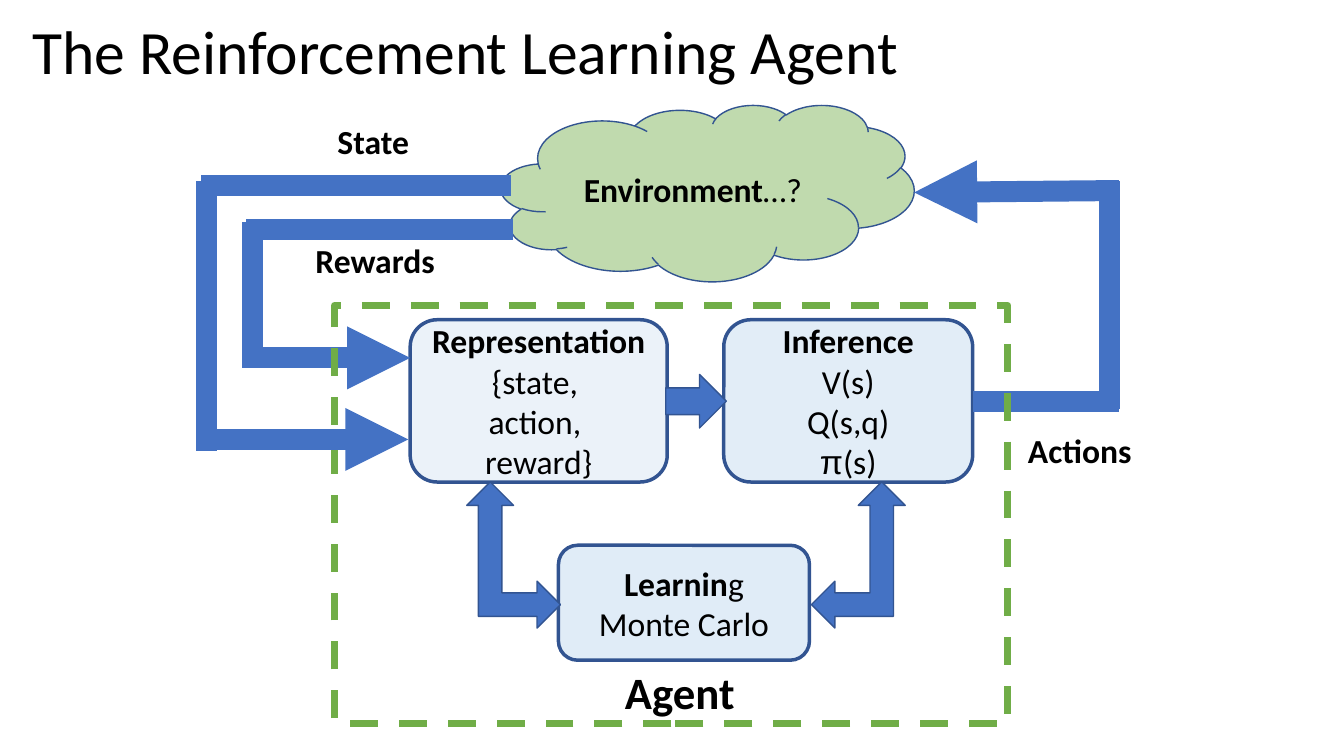
from dataclasses import dataclass
from typing import Optional

from lxml.etree import SubElement
from pptx import Presentation
from pptx.dml.color import RGBColor
from pptx.enum.dml import MSO_LINE_DASH_STYLE as DASH
from pptx.enum.shapes import MSO_CONNECTOR as CONN, MSO_SHAPE as SHAPE
from pptx.enum.text import MSO_ANCHOR as ANCHOR, PP_ALIGN as ALIGN
from pptx.oxml.ns import qn
from pptx.util import Pt

BLACK = RGBColor(0x00, 0x00, 0x00)
BLUE = RGBColor(0x44, 0x72, 0xC4)
NAVY = RGBColor(0x32, 0x54, 0x91)
SKY = RGBColor(0x9D, 0xC3, 0xE6)
PALE = RGBColor(0xBD, 0xD7, 0xEE)
GREEN = RGBColor(0x70, 0xAD, 0x47)

Run = tuple[str, bool]
Point = tuple[float, float]


@dataclass
class Block:
    kind: SHAPE
    left: float
    top: float
    width: float
    height: float
    fill: Optional[RGBColor] = BLUE
    opacity: int = 100
    line: RGBColor = NAVY
    weight: float = 1
    dash: Optional[DASH] = None
    rotation: int = 0
    flip: bool = False
    lines: tuple[tuple[Run, ...], ...] = ()


@dataclass
class Label:
    text: str
    left: float
    top: float
    width: float
    height: float = 36
    size: int = 24
    align: ALIGN = ALIGN.LEFT


@dataclass
class Line:
    start: Point
    end: Point
    arrow: bool = False


BOXES = [
    Block(SHAPE.ROUNDED_RECTANGLE, 293, 228.4, 183.6, 115.9, PALE, 30, weight=2.5,
          lines=((("Representation", True),), (("{state, ", False),),
                 (("action, ", False),), (("reward}", False),))),
    Block(SHAPE.ROUNDED_RECTANGLE, 398.9, 389.5, 179.3, 82.1, SKY, 31, weight=2.5,
          lines=((("Learnin", True), ("g", False)), (("Monte Carlo", False),))),
    Block(SHAPE.ROUNDED_RECTANGLE, 517, 228.4, 177.8, 115.9, SKY, 29, weight=2.5,
          lines=((("Inference", True),), (("V(s)", False),),
                 (("Q(s,q)", False),), (("π", False), ("(s)", False)))),
]
ARROWS = [
    Block(SHAPE.LEFT_UP_ARROW, 579.6, 344.2, 67, 104.4),
    Block(SHAPE.DOWN_ARROW, 478.1, 265, 38.2, 43.2, rotation=270),
    Block(SHAPE.LEFT_UP_ARROW, 333.4, 344.2, 67, 104.4, flip=True),
]
CLOUD = Block(SHAPE.CLOUD, 357.8, 74.9, 295.2, 126, GREEN, 44,
              lines=((("Environment", True), ("…?", False)),))
FRAME = Block(SHAPE.RECTANGLE, 239, 218.2, 481, 298.8, None, line=GREEN,
              weight=5, dash=DASH.DASH)
ACTION_ROUTE = [
    Line((792.7, 292.3), (792.7, 129.6)),
    Line((799.2, 286.6), (694.8, 286.6)),
    Line((799.2, 136.1), (653, 137.5), arrow=True),
]
REWARD_ROUTE = [
    Line((366.5, 164.2), (175.7, 164.2)),
    Line((175.7, 255.6), (293, 255.6), arrow=True),
    Line((180.7, 262.8), (180.7, 158.4)),
]
STATE_ROUTE = [
    Line((143.3, 313.9), (291.6, 313.9), arrow=True),
    Line((365, 132.5), (143.3, 132.5)),
    Line((147.6, 321.8), (147.6, 129.6)),
]
LABELS = [
    Label("Actions", 727.2, 303.8, 111.6),
    Label("Rewards", 218.2, 167.8, 146.9),
    Label("Agent", 429.8, 470.9, 111.6, 46, 32, ALIGN.CENTER),
    Label("State", 234, 82.8, 146.9),
]


def add_run(p, text: str, *, size: int = 24, bold: bool = False,
            font: str = "Calibri") -> None:
    r = p.add_run()
    r.text = text
    r.font.name = font
    r.font.size = Pt(size)
    r.font.bold = bold
    r.font.color.rgb = BLACK


def draw_block(slide, block: Block) -> None:
    sp = slide.shapes.add_shape(block.kind, Pt(block.left), Pt(block.top),
                                Pt(block.width), Pt(block.height))
    sp.shadow.inherit = False
    sp.rotation = block.rotation
    if block.flip:
        sp._element.spPr.get_or_add_xfrm().set("flipH", "1")
    if block.fill is None:
        sp.fill.background()
    else:
        sp.fill.solid()
        sp.fill.fore_color.rgb = block.fill
        if block.opacity < 100:
            color = sp._element.spPr.find(qn("a:solidFill"))[0]
            SubElement(color, qn("a:alpha")).set("val", str(block.opacity * 1000))
    sp.line.color.rgb = block.line
    sp.line.width = Pt(block.weight)
    if block.dash is not None:
        sp.line.dash_style = block.dash
    tf = sp.text_frame
    tf.vertical_anchor = ANCHOR.MIDDLE
    for i, runs in enumerate(block.lines):
        p = tf.add_paragraph() if i else tf.paragraphs[0]
        p.alignment = ALIGN.CENTER
        for text, bold in runs:
            add_run(p, text, bold=bold, font="Arial" if text == "π" else "Calibri")


def draw_line(slide, line: Line) -> None:
    cx = slide.shapes.add_connector(CONN.STRAIGHT, *map(Pt, line.start + line.end))
    cx.line.color.rgb = BLUE
    cx.line.width = Pt(15)
    if line.arrow:
        SubElement(cx.line._get_or_add_ln(), qn("a:tailEnd")).set("type", "triangle")
    SubElement(cx._element.spPr, qn("a:effectLst"))


def draw_label(slide, label: Label) -> None:
    sp = slide.shapes.add_textbox(Pt(label.left), Pt(label.top),
                                  Pt(label.width), Pt(label.height))
    tf = sp.text_frame
    tf.word_wrap = True
    p = tf.paragraphs[0]
    p.alignment = label.align
    add_run(p, label.text, size=label.size, bold=True)


def draw_title(slide, text: str) -> None:
    sp = slide.shapes.title
    sp.left, sp.top, sp.width, sp.height = Pt(15.8), Pt(7.2), Pt(828), Pt(63.4)
    tf = sp.text_frame
    tf.vertical_anchor = ANCHOR.MIDDLE
    p = tf.paragraphs[0]
    p.alignment = ALIGN.LEFT
    p.line_spacing = 0.9
    add_run(p, text, size=44)


def main() -> None:
    prs = Presentation()
    prs.slide_width, prs.slide_height = Pt(960), Pt(540)
    slide = prs.slides.add_slide(prs.slide_layouts[5])
    draw_title(slide, "The Reinforcement Learning Agent")
    for block in BOXES + ARROWS + [CLOUD]:
        draw_block(slide, block)
    for line in ACTION_ROUTE + REWARD_ROUTE:
        draw_line(slide, line)
    draw_block(slide, FRAME)
    for line in STATE_ROUTE:
        draw_line(slide, line)
    for label in LABELS:
        draw_label(slide, label)
    prs.save("out.pptx")


if __name__ == "__main__":
    main()
